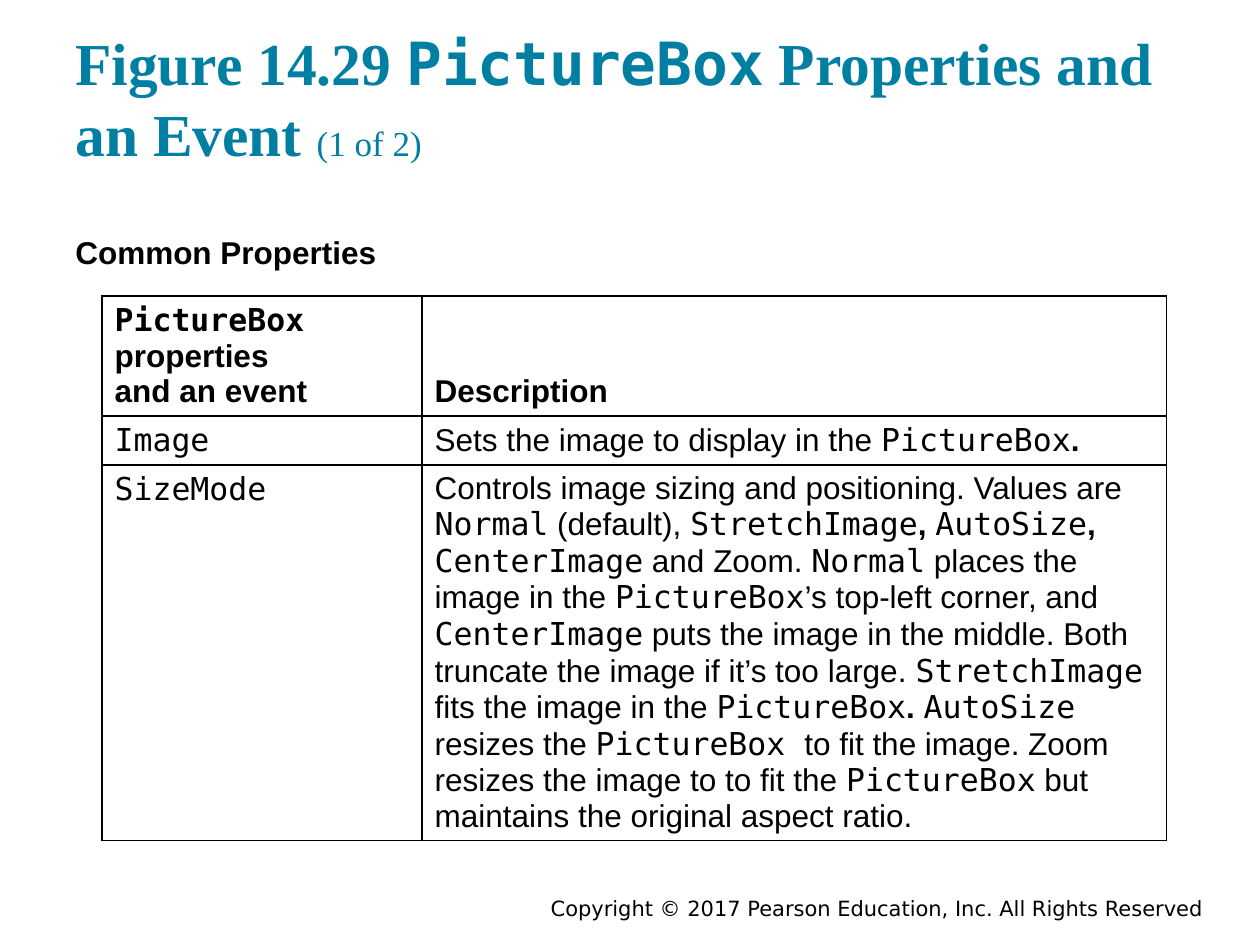
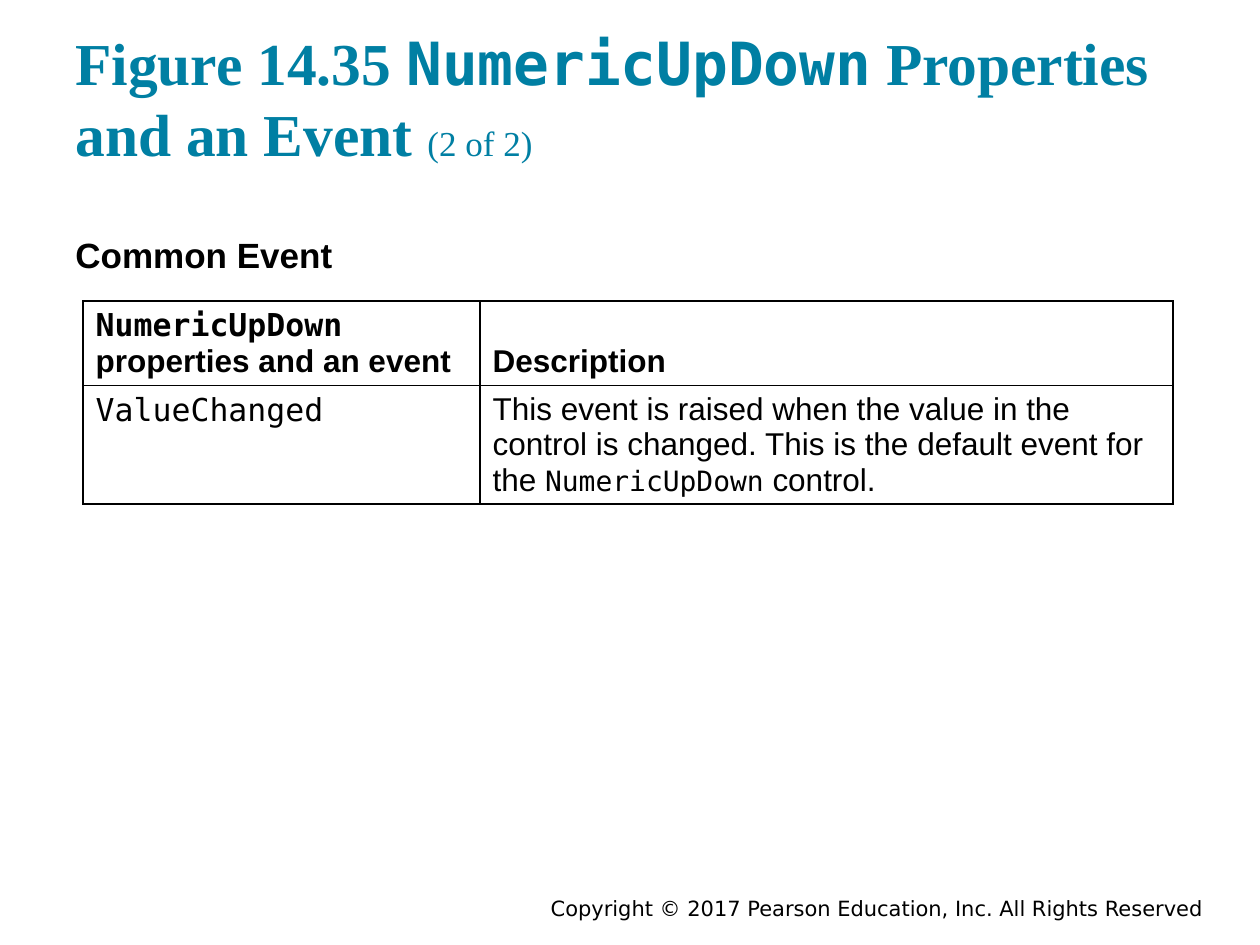
import pptx
import pptx.util
import pptx.dml.color
import pptx.enum.text
import pptx.oxml
from pptx.oxml.ns import nsdecls

Inches, Pt = pptx.util.Inches, pptx.util.Pt
Anchor = pptx.enum.text.MSO_ANCHOR
Align = pptx.enum.text.PP_ALIGN

# Content: `code` is monospaced, *text* is bold
FOOTER = "Copyright © 2017 Pearson Education, Inc. All Rights Reserved"
PAGES = [
    {
        "title": "Figure 14.29 `PictureBox` Properties and an Event ",
        "part": "(1 of 2)",
        "head": "Common Properties", "size": 18,
        "at": (0.81, 2.35), "cols": (2.54, 5.91), "rows": (0.95, 0.38, 2.97),
        "cells": [
            (["`PictureBox` properties", "and an event"], ["Description"]),
            (["`Image`"],
             ["Sets the image to display in the `PictureBox`*.*"]),
            (["`SizeMode`"],
             ["Controls image sizing and positioning. Values are `Normal` "
              "(default), `StretchImage`*, *`AutoSize`*, *`CenterImage` and "
              "Zoom. `Normal` places the image in the `PictureBox`’s top-left "
              "corner, and `CenterImage` puts the image in the middle. Both "
              "truncate the image if it’s too large. `StretchImage` fits the "
              "image in the `PictureBox`*. *`AutoSize `resizes the "
              "`PictureBox `to fit the image. Zoom resizes the image to to "
              "fit the `PictureBox` but maintains the original aspect ratio."]),
        ],
    },
    {
        "title": "Figure 14.35 `NumericUpDown` Properties and an Event ",
        "part": "(2 of 2)",
        "head": "Common Event", "size": 20,
        "at": (0.66, 2.39), "cols": (3.15, 5.5), "rows": (0.67, 0.94),
        "cells": [
            (["`NumericUpDown`", "properties and an event"], ["Description"]),
            (["`ValueChanged`"],
             ["This event is raised when the value in the control is changed. "
              "This is the default event for the `NumericUpDown` control."]),
        ],
        "small": 16,
    },
]

# Shared style
HEX = {"title": "007FA3", "text": "000000", "line": "000000"}
SERIF, SANS = "Times New Roman", "Arial"
MONO, FOOT = "DejaVu Sans Mono", "DejaVu Sans"


def add_run(para, text, font, size, bold=False, hue="text"):
    run = para.add_run()
    run.text = text
    run.font.name, run.font.size, run.font.bold = font, Pt(size), bold
    run.font.color.rgb = pptx.dml.color.RGBColor.from_string(HEX[hue])


def add_marked(para, text, font, size, bold=False, hue="text", code=None):
    """Write text run by run, following the ` and * marks."""
    for i, part in enumerate(text.split("`")):
        for j, piece in enumerate(part.split("*")):
            if piece:
                face, pts = (MONO, code or size) if i % 2 else (font, size)
                add_run(para, piece, face, pts, bold or j % 2 == 1, hue)


def set_frame(frame, anchor, inset=0.1):
    frame.word_wrap = True
    frame.auto_size = pptx.enum.text.MSO_AUTO_SIZE.NONE
    frame.vertical_anchor = anchor
    frame.margin_left = frame.margin_right = Inches(0.1)
    frame.margin_top = frame.margin_bottom = Inches(inset)
    return frame.paragraphs[0]


def add_box(slide, at, anchor, inset=0.1):
    box = slide.shapes.add_textbox(*map(Inches, at))
    return set_frame(box.text_frame, anchor, inset)


def add_title(slide, page):
    shape = slide.shapes.title
    shape.left, shape.top, shape.width, shape.height = map(
        Inches, (0.5, 0.24, 9, 1.2))
    para = set_frame(shape.text_frame, Anchor.BOTTOM)
    para.alignment = Align.LEFT
    add_marked(para, page["title"], SERIF, 34, True, "title")
    add_run(para, page["part"], SERIF, 20, hue="title")


def set_lines(cell):
    props = cell._tc.get_or_add_tcPr()
    for side in "LRTB":
        props.append(pptx.oxml.parse_xml(
            f'<a:ln{side} {nsdecls("a")} w="12700"><a:solidFill>'
            f'<a:srgbClr val="{HEX["line"]}"/></a:solidFill></a:ln{side}>'))
    cell.fill.background()


def add_grid(slide, page):
    cols, rows = page["cols"], page["rows"]
    size = map(Inches, (*page["at"], sum(cols), sum(rows)))
    grid = slide.shapes.add_table(len(rows), len(cols), *size).table
    grid.first_row = grid.horz_banding = False
    for col, width in zip(grid.columns, cols):
        col.width = Inches(width)
    for r, (row, high) in enumerate(zip(grid.rows, rows)):
        row.height = Inches(high)
        for cell, lines in zip(row.cells, page["cells"][r]):
            set_lines(cell)
            cell.vertical_anchor = Anchor.TOP if r else Anchor.BOTTOM
            frame = cell.text_frame
            for n, line in enumerate(lines):
                para = frame.add_paragraph() if n else frame.paragraphs[0]
                # Only inline code in the description column is smaller
                code = page.get("small") if " " in line and r else None
                add_marked(para, line, SANS, 18, r == 0, code=code)


def main():
    deck = pptx.Presentation()
    deck.slide_width, deck.slide_height = Inches(10), Inches(7.5)
    for page in PAGES:
        slide = deck.slides.add_slide(deck.slide_layouts[5])
        # Footer
        para = add_box(slide, (3, 7.08, 6.65, 0.25), Anchor.MIDDLE, 0.05)
        para.alignment = Align.RIGHT
        add_run(para, FOOTER, FOOT, 12)
        # Title, heading and table
        add_title(slide, page)
        para = add_box(slide, (0.5, 1.75, 9, 0.4), Anchor.TOP)
        add_run(para, page["head"], SANS, page["size"], True)
        add_grid(slide, page)
    deck.save("out.pptx")


if __name__ == "__main__":
    main()
